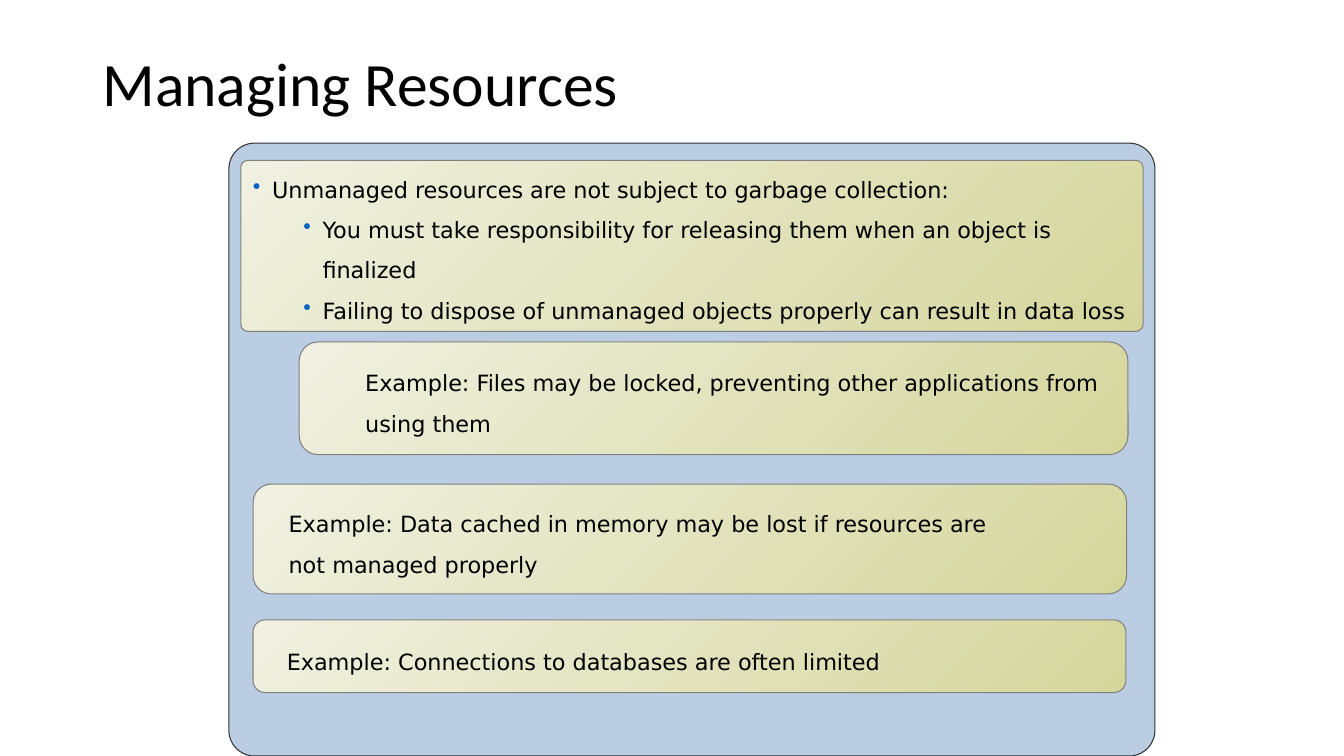
from lxml import etree
from pptx import Presentation
from pptx.dml.color import RGBColor
from pptx.enum.shapes import MSO_SHAPE
from pptx.enum.text import MSO_ANCHOR, MSO_AUTO_SIZE, PP_ALIGN
from pptx.oxml.ns import qn
from pptx.util import Pt

ROUNDED = MSO_SHAPE.ROUNDED_RECTANGLE
TOP, MIDDLE = MSO_ANCHOR.TOP, MSO_ANCHOR.MIDDLE
LEFT = PP_ALIGN.LEFT
GROW = MSO_AUTO_SIZE.SHAPE_TO_FIT_TEXT

TITLE_BOX = (66, 28.8, 828, 66)
PANEL_BOX = (163.5, 102.25, 661.5, 437.75)
TITLE_FONT = {"name": "Calibri", "size": Pt(44)}
BODY_FONT = {"name": "DejaVu Sans", "size": Pt(16)}

POINTS = [
    (0, "Unmanaged resources are not subject to garbage collection:"),
    (1, "You must take responsibility for releasing them when an object is finalized"),
    (1, "Failing to dispose of unmanaged objects properly can result in data loss"),
]
EXAMPLES = [
    ((17.25, 243.5, 624, 78.5), 0,
     ["Example: Data cached in memory may be lost if resources are",
      "not managed properly"]),
    ((17.25, 340.5, 623.5, 52), 0,
     ["Example: Connections to databases are often limited"]),
    ((50.25, 142, 592, 80.5), 21.6,
     ["Example: Files may be locked, preventing other applications from using them"]),
]


def color(value):
    return RGBColor.from_string(value)


def set_attrs(target, values):
    for name, value in values.items():
        setattr(target, name, value)


def add_text(p, text, font, spacing):
    set_attrs(p, {"alignment": LEFT, "line_spacing": spacing,
                  "space_before": Pt(0), "space_after": Pt(0)})
    r = p.add_run()
    r.text = text
    set_attrs(r.font, font)
    r.font.color.rgb = color("000000")


def set_indent(p, margin, hanging=0):
    pPr = p._p.get_or_add_pPr()
    pPr.set("marL", str(Pt(margin)))
    pPr.set("indent", str(Pt(-hanging)))
    return pPr


def add_bullet(p, margin):
    pPr = set_indent(p, margin, 13.7)
    clr = etree.SubElement(pPr, qn("a:buClr"))
    etree.SubElement(clr, qn("a:srgbClr"), val="0563C1")
    etree.SubElement(pPr, qn("a:buChar"), char="•")


def add_box(s, box, radius, line):
    sp = s.shapes.add_shape(ROUNDED, *map(Pt, box))
    sp.shadow.inherit = False
    sp.adjustments[0] = radius
    sp.line.color.rgb = color(line)
    sp.line.width = Pt(0.75)
    return sp


def add_card(s, box, radius, insets, anchor):
    sp = add_box(s, box, radius, "808080")
    sp.fill.gradient()
    sp.fill.gradient_angle = 315
    for stop, value, position in zip(sp.fill.gradient_stops, ("F0F1E1", "D5D69C"), (0, 1)):
        stop.color.rgb = color(value)
        stop.position = position
    tf = sp.text_frame
    left, top, right, bottom = map(Pt, insets)
    set_attrs(tf, {"word_wrap": True, "vertical_anchor": anchor,
                   "margin_left": left, "margin_top": top,
                   "margin_right": right, "margin_bottom": bottom})
    return tf


def add_paragraphs(tf, count):
    return [tf.paragraphs[0]] + [tf.add_paragraph() for _ in range(count - 1)]


def add_title(s, box, text):
    sp = s.shapes.title
    set_attrs(sp, dict(zip(("left", "top", "width", "height"), map(Pt, box))))
    sp.text_frame.vertical_anchor = MIDDLE
    add_text(sp.text_frame.paragraphs[0], text, TITLE_FONT, 0.9)


def add_points(s, box):
    tf = add_card(s, box, 0.042, (0, 0, 0, 3.6), TOP)
    tf.auto_size = GROW
    for p, (level, text) in zip(add_paragraphs(tf, len(POINTS)), POINTS):
        p.level = level
        add_bullet(p, 20.9 + 36 * level)
        add_text(p, text, BODY_FONT, 1.5)


def add_example(s, box, margin, lines):
    tf = add_card(s, box, 0.167, (21.6, 0, 7.2, 3.6), MIDDLE)
    for p, text in zip(add_paragraphs(tf, len(lines)), lines):
        set_indent(p, margin)
        add_text(p, text, BODY_FONT, 1.55)


def add_panel(s, box):
    sp = add_box(s, box, 0.042, "333333")
    sp.fill.solid()
    sp.fill.fore_color.rgb = color("BBCDE3")
    x, y = box[:2]
    add_points(s, (x + 8.5, y + 12.25, 644.5, 122.25))
    for (dx, dy, w, h), margin, lines in EXAMPLES:
        add_example(s, (x + dx, y + dy, w, h), margin, lines)


def main():
    prs = Presentation()
    prs.slide_width, prs.slide_height = Pt(960), Pt(540)
    s = prs.slides.add_slide(prs.slide_layouts[5])
    add_title(s, TITLE_BOX, "Managing Resources")
    add_panel(s, PANEL_BOX)
    prs.save("out.pptx")


if __name__ == "__main__":
    main()
